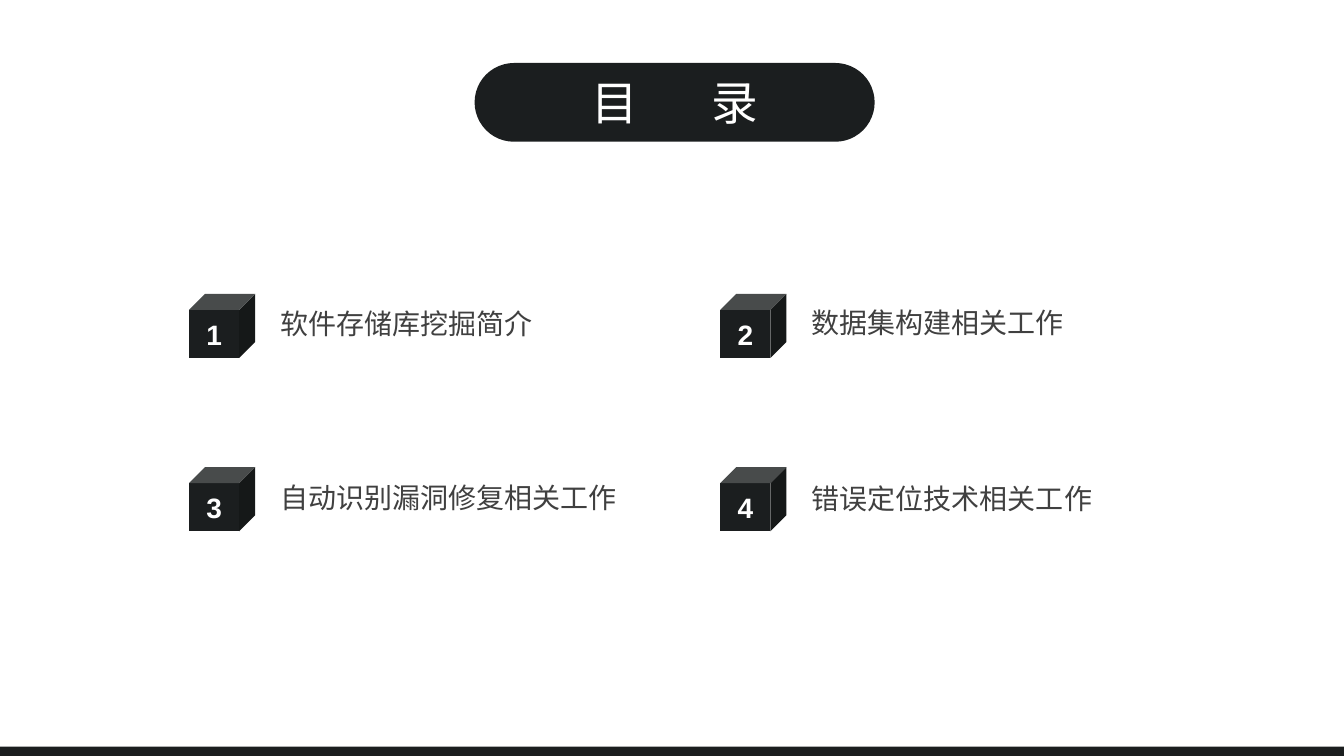
from typing import NamedTuple

from lxml import etree
from pptx import Presentation
from pptx.dml.color import RGBColor
from pptx.enum.shapes import MSO_SHAPE
from pptx.enum.text import MSO_ANCHOR, PP_ALIGN
from pptx.oxml.ns import qn
from pptx.util import Pt

PX = 9525
WIDE, HIGH = 1280, 720
RECT, PILL, CUBE = MSO_SHAPE.RECTANGLE, MSO_SHAPE.ROUNDED_RECTANGLE, MSO_SHAPE.CUBE
LEFT, CENTER = PP_ALIGN.LEFT, PP_ALIGN.CENTER
MIDDLE = MSO_ANCHOR.MIDDLE

DARK, GREY, WHITE = "1B1E1F", "404040", "FFFFFF"
LATIN, HAN = "Arial", "Noto Sans CJK SC"

COLS, ROWS = (180, 686), (280, 445)
CUBE_W, CUBE_H = 63, 61
TEXT_DX, TEXT_W, TEXT_H = 87, 338, 68


class Item(NamedTuple):
    text: str
    top: int


ITEMS = [
    Item("软件存储库挖掘简介", 276),
    Item("数据集构建相关工作", 275),
    Item("自动识别漏洞修复相关工作", 442),
    Item("错误定位技术相关工作", 443),
]


def color(code: str) -> RGBColor:
    return RGBColor.from_string(code)


def box(x: int, y: int, w: int, h: int) -> list[int]:
    return [n * PX for n in (x, y, w, h)]


def solid(shapes, kind, x: int, y: int, w: int, h: int):
    shape = shapes.add_shape(kind, *box(x, y, w, h))
    shape.shadow.inherit = False
    shape.fill.solid()
    shape.fill.fore_color.rgb = color(DARK)
    shape.line.fill.background()
    return shape


def write(shape, *parts: str, size: float = 20, font: str = LATIN, ink: str = WHITE,
          bold: bool = False, align=CENTER, line: float = 1.0, pad: int = 10, gap: float = 0):
    """Write one paragraph, a run per part; gap widens each blank part, in points."""
    frame = shape.text_frame
    frame.word_wrap = True
    frame.vertical_anchor = MIDDLE
    frame.margin_left = frame.margin_right = pad * PX
    frame.margin_top = frame.margin_bottom = 0
    para = frame.paragraphs[0]
    para.alignment, para.line_spacing = align, line
    for part in parts:
        run = para.add_run()
        run.text = part
        run.font.size, run.font.name, run.font.bold = Pt(size), font, bold
        run.font.color.rgb = color(ink)
        props = run._r.get_or_add_rPr()
        etree.SubElement(props, qn("a:ea")).set("typeface", HAN)
        if part.isspace():
            props.set("spc", str(round(gap * 100)))


def entry(shapes, index: int, item: Item) -> None:
    row, col = divmod(index, len(COLS))
    group = shapes.add_group_shape().shapes
    cube = solid(group, CUBE, COLS[col], ROWS[row], CUBE_W, CUBE_H)
    write(cube, str(index + 1), bold=True)
    label = group.add_textbox(*box(COLS[col] + TEXT_DX, item.top, TEXT_W, TEXT_H))
    write(label, item.text, ink=GREY, align=LEFT, line=0.9, pad=0)


def main() -> None:
    deck = Presentation()
    deck.slide_width, deck.slide_height = WIDE * PX, HIGH * PX
    shapes = deck.slides.add_slide(deck.slide_layouts[6]).shapes

    solid(shapes, RECT, 0, 711, WIDE, 9)
    title = solid(shapes, PILL, 452, 60, 381, 75)
    title.adjustments[0] = 0.5
    write(title, "目", " ", "录", size=33.3, font=HAN, gap=45)

    for index, item in enumerate(ITEMS):
        entry(shapes, index, item)

    deck.save("out.pptx")


if __name__ == "__main__":
    main()
